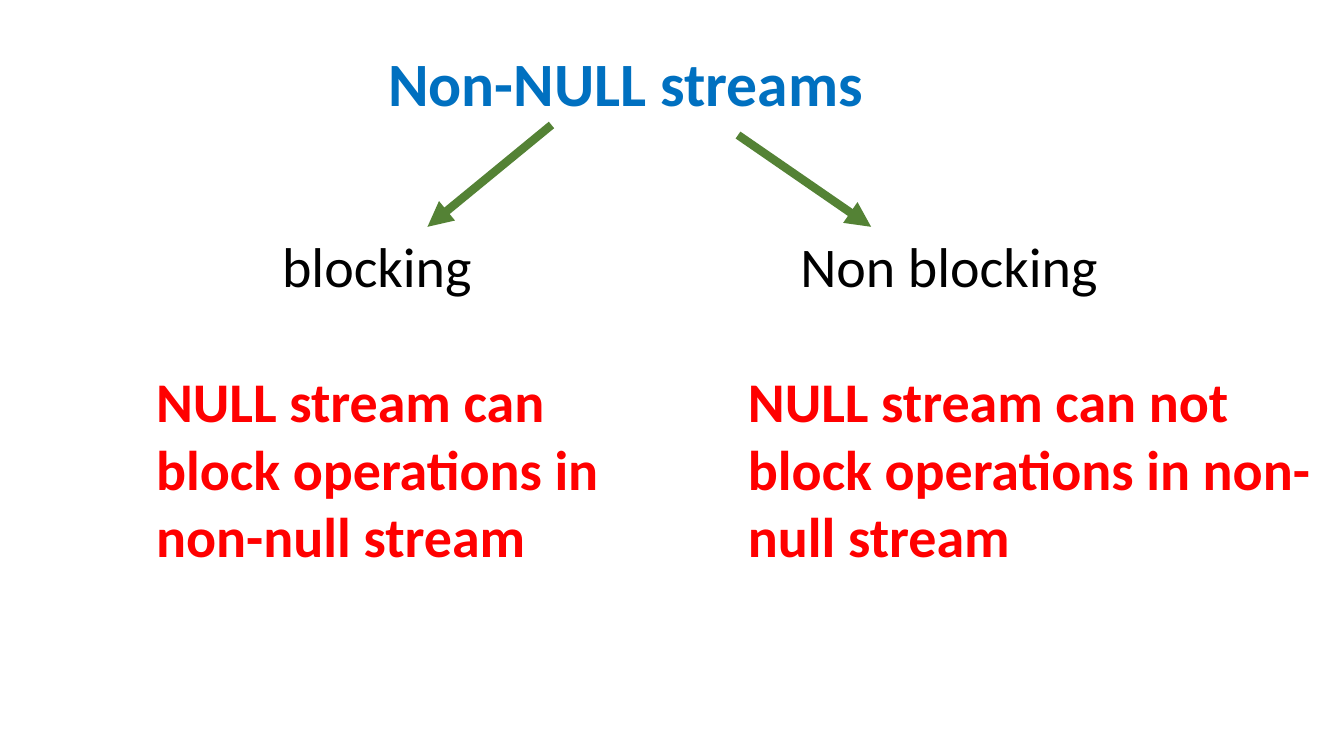
from dataclasses import dataclass

from lxml.etree import SubElement
from pptx import Presentation
from pptx.dml.color import RGBColor
from pptx.enum.shapes import MSO_CONNECTOR
from pptx.enum.text import MSO_AUTO_SIZE
from pptx.oxml.ns import qn
from pptx.util import Inches, Pt


@dataclass(frozen=True)
class Theme:
    font: str = "Calibri"
    title_color: str = "0070C0"
    label_color: str = "000000"
    emphasis_color: str = "FF0000"
    arrow_color: str = "548235"
    title_size: int = 44
    body_size: int = 40
    arrow_width: int = 6


class SlideBuilder:
    def __init__(self, slide, theme):
        self.slide = slide
        self.theme = theme

    def add_text(self, text, box, size, color, bold=False):
        shape = self.slide.shapes.add_textbox(*map(Inches, box))
        text_frame = shape.text_frame
        text_frame.word_wrap = True
        text_frame.auto_size = MSO_AUTO_SIZE.SHAPE_TO_FIT_TEXT
        text_frame.text = text
        font = text_frame.paragraphs[0].runs[0].font
        font.name = self.theme.font
        font.size = Pt(size)
        font.bold = bold
        font.color.rgb = RGBColor.from_string(color)

    def add_title(self, text, box):
        self.add_text(text, box, self.theme.title_size, self.theme.title_color, True)

    def add_label(self, text, box):
        self.add_text(text, box, self.theme.body_size, self.theme.label_color)

    def add_explanation(self, text, box):
        self.add_text(text, box, self.theme.body_size, self.theme.emphasis_color, True)

    def add_arrow(self, start, end):
        connector = self.slide.shapes.add_connector(
            MSO_CONNECTOR.STRAIGHT, *map(Inches, start + end)
        )
        connector.line.color.rgb = RGBColor.from_string(self.theme.arrow_color)
        connector.line.width = Pt(self.theme.arrow_width)
        SubElement(connector.line._get_or_add_ln(), qn("a:tailEnd"), type="triangle")
        SubElement(connector._element.spPr, qn("a:effectLst"))


def main():
    presentation = Presentation()
    presentation.slide_width = Inches(13.33)
    presentation.slide_height = Inches(7.5)
    slide = presentation.slides.add_slide(presentation.slide_layouts[6])
    builder = SlideBuilder(slide, Theme())

    label_top, label_width, label_height = 2.25, 4.73, 0.77
    explanation_top, explanation_height = 3.59, 2.12
    branches = [
        ("blocking", 2.7, (5.47, 1.24), 4.24,
         "NULL stream can block operations in non-null stream", 1.45, 5.09),
        ("Non blocking", 7.84, (7.32, 1.34), 8.64,
         "NULL stream can not block operations in non-null stream", 7.32, 6.17),
    ]

    builder.add_title("Non-NULL streams", (3.75, 0.4, 6.75, 0.84))
    for label, label_left, arrow_start, arrow_end, explanation, left, width in branches:
        builder.add_label(label, (label_left, label_top, label_width, label_height))
        builder.add_arrow(arrow_start, (arrow_end, label_top))
        builder.add_explanation(
            explanation, (left, explanation_top, width, explanation_height)
        )

    presentation.save("out.pptx")


if __name__ == "__main__":
    main()
